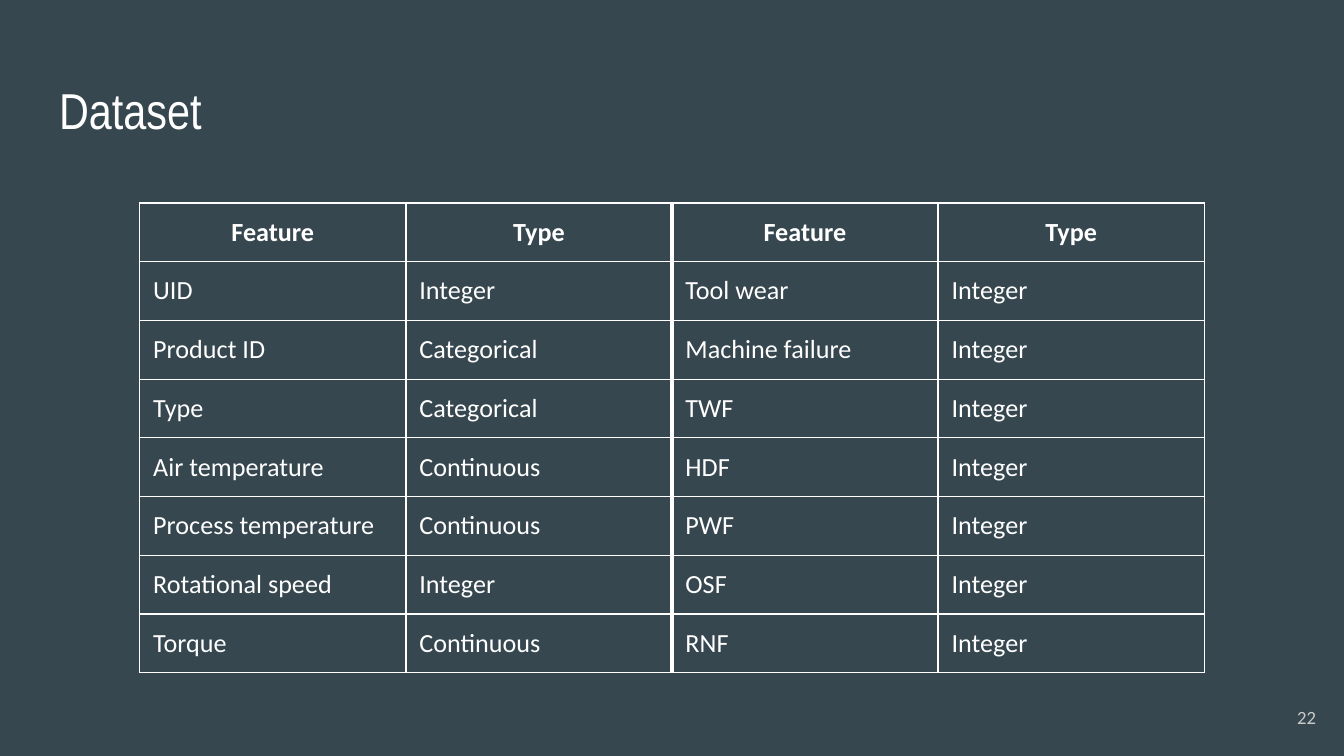
"""Build the Dataset slide: a feature and type table in two halves."""
from lxml import etree
from pptx import Presentation
from pptx.dml.color import RGBColor
from pptx.enum.text import MSO_ANCHOR, PP_ALIGN
from pptx.oxml.ns import qn
from pptx.util import Inches, Pt

LEFT, CENTER, RIGHT = PP_ALIGN.LEFT, PP_ALIGN.CENTER, PP_ALIGN.RIGHT
TOP, MIDDLE = MSO_ANCHOR.TOP, MSO_ANCHOR.MIDDLE

TITLE = "Dataset"
PAGE = "22"
HEADER = ("Feature", "Type")
LEFT_HALF = [
    ("UID", "Integer"),
    ("Product ID", "Categorical"),
    ("Type", "Categorical"),
    ("Air temperature", "Continuous"),
    ("Process temperature", "Continuous"),
    ("Rotational speed", "Integer"),
    ("Torque", "Continuous"),
]
RIGHT_HALF = ["Tool wear", "Machine failure", "TWF", "HDF", "PWF", "OSF", "RNF"]

THEME = {
    "bg": "37474F",
    "border": "FFFFFF",
    "thin": 0.75,
    "thick": 2.25,
    "inset": 0.1,
    "title": {"name": "Arial Narrow", "size": 27, "color": "FFFFFF", "bold": False},
    "head": {"name": "Calibri", "size": 14, "color": "FFFFFF", "bold": True},
    "body": {"name": "Calibri", "size": 14, "color": "FFFFFF", "bold": False},
    "page": {"name": "Calibri", "size": 10, "color": "CACACA", "bold": False},
}
SLIDE_W = 10
SLIDE_H = SLIDE_W * 9 / 16
TITLE_BOX = (0.34, 0.49, 9.32, 0.63)
PAGE_BOX = (9.29, 5.12, 0.6, 0.43)
TABLE_LEFT, TABLE_TOP, COL_W, ROW_H = 1.04, 1.51, 1.98, 0.42


def write(tf, text, style, align):
    p = tf.paragraphs[0]
    p.alignment = align
    r = p.add_run()
    r.text = text
    values = dict(THEME[style])
    r.font.color.rgb = RGBColor.from_string(values.pop("color"))
    values["size"] = Pt(values["size"])
    for name, value in values.items():
        setattr(r.font, name, value)


def set_margins(holder):
    for side in ("left", "top", "right", "bottom"):
        setattr(holder, f"margin_{side}", Inches(THEME["inset"]))


def set_box(sp, box, text, style, align, anchor):
    for name, value in zip(("left", "top", "width", "height"), box):
        setattr(sp, name, Inches(value))
    tf = sp.text_frame
    tf.word_wrap = True
    tf.vertical_anchor = anchor
    set_margins(tf)
    sp.line.color.rgb = RGBColor.from_string(THEME["bg"])
    sp.line.width = Pt(THEME["thin"])
    write(tf, text, style, align)


def set_borders(cell, thick_side):
    tc_pr = cell._tc.get_or_add_tcPr()
    for side in "LRTB":
        width = THEME["thick" if side == thick_side else "thin"]
        ln = etree.SubElement(tc_pr, qn(f"a:ln{side}"), w=str(Pt(width)))
        fill = etree.SubElement(ln, qn("a:solidFill"))
        etree.SubElement(fill, qn("a:srgbClr"), val=THEME["border"])


def add_features(s):
    rows = [HEADER * 2]
    rows += [pair + (name, "Integer") for pair, name in zip(LEFT_HALF, RIGHT_HALF)]
    n_rows, n_cols = len(rows), len(rows[0])
    table = s.shapes.add_table(
        n_rows, n_cols, Inches(TABLE_LEFT), Inches(TABLE_TOP),
        Inches(COL_W * n_cols), Inches(ROW_H * n_rows)).table
    table.first_row = table.horz_banding = False
    for col in table.columns:
        col.width = Inches(COL_W)
    middle_sides = {1: "R", 2: "L"}
    for i, row in enumerate(rows):
        table.rows[i].height = Inches(ROW_H)
        style, align = ("body", LEFT) if i else ("head", CENTER)
        for j, text in enumerate(row):
            cell = table.cell(i, j)
            set_margins(cell)
            set_borders(cell, middle_sides.get(j))
            cell.fill.background()
            write(cell.text_frame, text, style, align)


def main():
    prs = Presentation()
    prs.slide_width, prs.slide_height = Inches(SLIDE_W), Inches(SLIDE_H)
    s = prs.slides.add_slide(prs.slide_layouts[5])
    s.background.fill.solid()
    s.background.fill.fore_color.rgb = RGBColor.from_string(THEME["bg"])
    set_box(s.shapes.title, TITLE_BOX, TITLE, "title", LEFT, TOP)
    add_features(s)
    page = s.shapes.add_textbox(*map(Inches, PAGE_BOX))
    set_box(page, PAGE_BOX, PAGE, "page", RIGHT, MIDDLE)
    prs.save("out.pptx")


if __name__ == "__main__":
    main()
